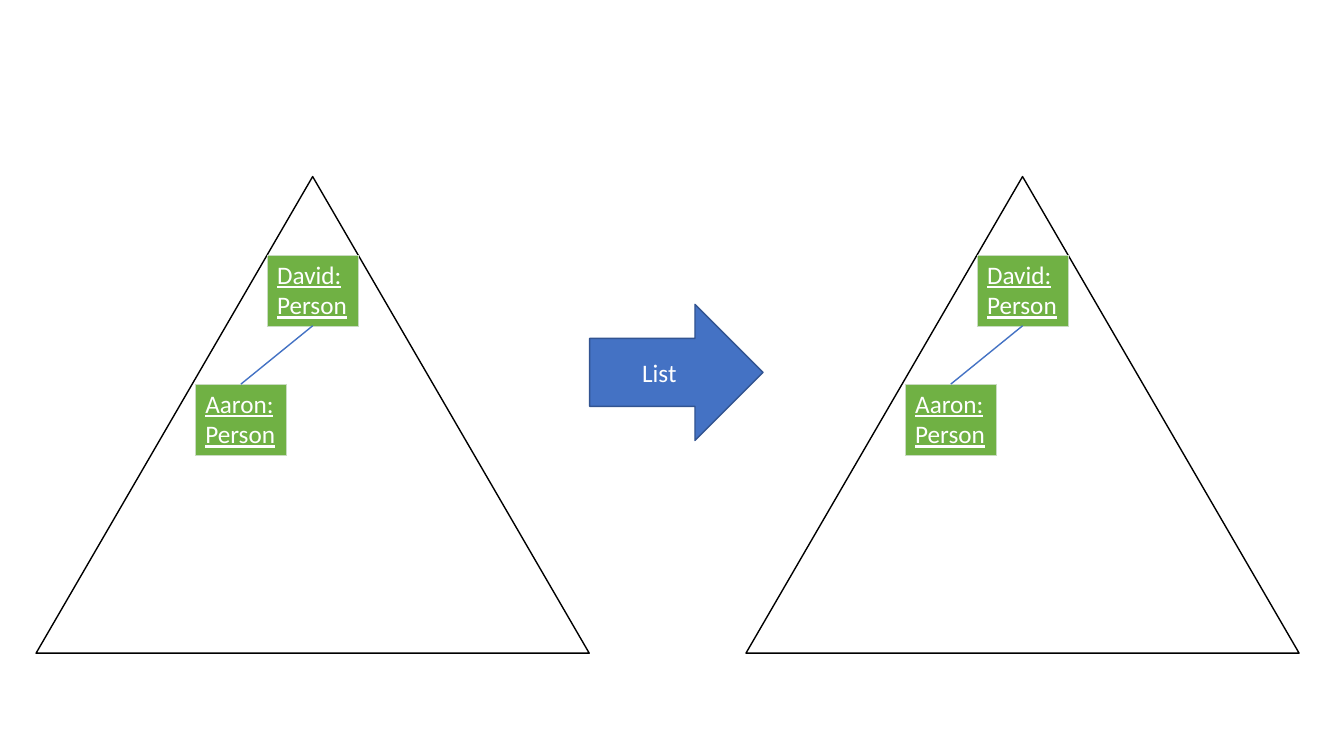
from lxml.etree import SubElement
from pptx import Presentation
from pptx.dml.color import RGBColor
from pptx.enum.shapes import MSO_CONNECTOR, MSO_SHAPE
from pptx.enum.text import MSO_ANCHOR, PP_ALIGN
from pptx.oxml.ns import qn
from pptx.util import Cm, Pt

BLACK = RGBColor(0x00, 0x00, 0x00)
WHITE = RGBColor(0xFF, 0xFF, 0xFF)
BLUE = RGBColor(0x44, 0x72, 0xC4)
NAVY = RGBColor(0x32, 0x54, 0x91)
GREEN = RGBColor(0x70, 0xB1, 0x44)
PALE = RGBColor(0xC9, 0xDB, 0xC1)

PEOPLE = [
    (["David:", "Person"], 6.73, 6.43),
    (["Aaron:", "Person"], 4.92, 9.68),
]
ACTION = "List"
ARROW = (14.86, 7.67, 4.37, 3.43)
CONE = (0.91, 4.45, 13.94, 12.01)
SHIFTS = (0, 17.89)
WIDE, HIGH = 2.3, 1.78
FONT = {"name": "Calibri", "size": Pt(18)}
CARD = {**FONT, "underline": True}


def style(font, form):
    for key, value in form.items():
        setattr(font, key, value)
    font.color.rgb = WHITE


def outline(line, color):
    line.color.rgb = color
    line.width = Pt(1)


def figure(kind, box, color):
    shape = slide.shapes.add_shape(kind, *map(Cm, box))
    shape.shadow.inherit = False
    outline(shape.line, color)
    return shape


def border(cell):
    props = cell._tc.get_or_add_tcPr()
    for index, side in enumerate(("lnL", "lnR", "lnT", "lnB")):
        edge = props.makeelement(qn("a:" + side), {"w": str(Pt(0.5))})
        fill = SubElement(edge, qn("a:solidFill"))
        SubElement(fill, qn("a:srgbClr"), val=str(PALE))
        props.insert(index, edge)


def person(lines, left, top):
    frame = slide.shapes.add_table(1, 1, Cm(left), Cm(top), Cm(WIDE), Cm(HIGH))
    cell = frame.table.cell(0, 0)
    cell.fill.solid()
    cell.fill.fore_color.rgb = GREEN
    border(cell)
    cell.text = "\n".join(lines)
    for para in cell.text_frame.paragraphs:
        for run in para.runs:
            style(run.font, {**CARD, "bold": False})


def link(start, end):
    line = slide.shapes.add_connector(MSO_CONNECTOR.STRAIGHT, *map(Cm, start + end))
    outline(line.line, BLUE)
    SubElement(line._element.spPr, qn("a:effectLst"))


deck = Presentation()
deck.slide_width, deck.slide_height = Cm(33.87), Cm(19.05)
slide = deck.slides.add_slide(deck.slide_layouts[6])

for shift in SHIFTS:
    left, *rest = CONE
    figure(MSO_SHAPE.ISOSCELES_TRIANGLE, (left + shift, *rest), BLACK).fill.background()
    for lines, left, top in PEOPLE:
        person(lines, left + shift, top)
    (_, x1, y1), (_, x2, y2) = PEOPLE
    mid = shift + WIDE / 2
    link((x1 + mid, y1 + HIGH), (x2 + mid, y2))

arrow = figure(MSO_SHAPE.RIGHT_ARROW, ARROW, NAVY)
arrow.fill.solid()
arrow.fill.fore_color.rgb = BLUE
arrow.text_frame.vertical_anchor = MSO_ANCHOR.MIDDLE
para = arrow.text_frame.paragraphs[0]
para.text = ACTION
para.alignment = PP_ALIGN.CENTER
style(para.runs[0].font, FONT)

deck.save("out.pptx")
